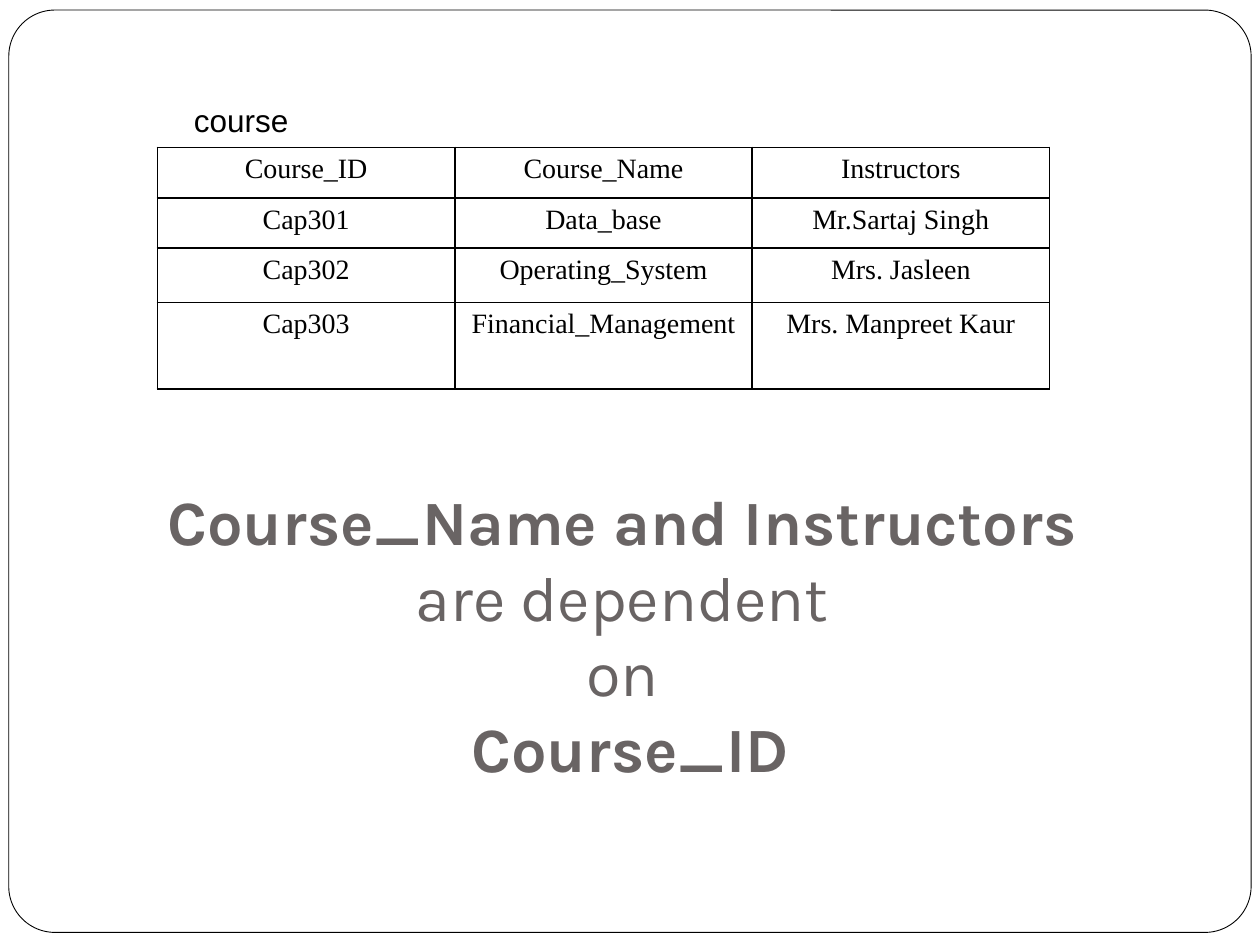
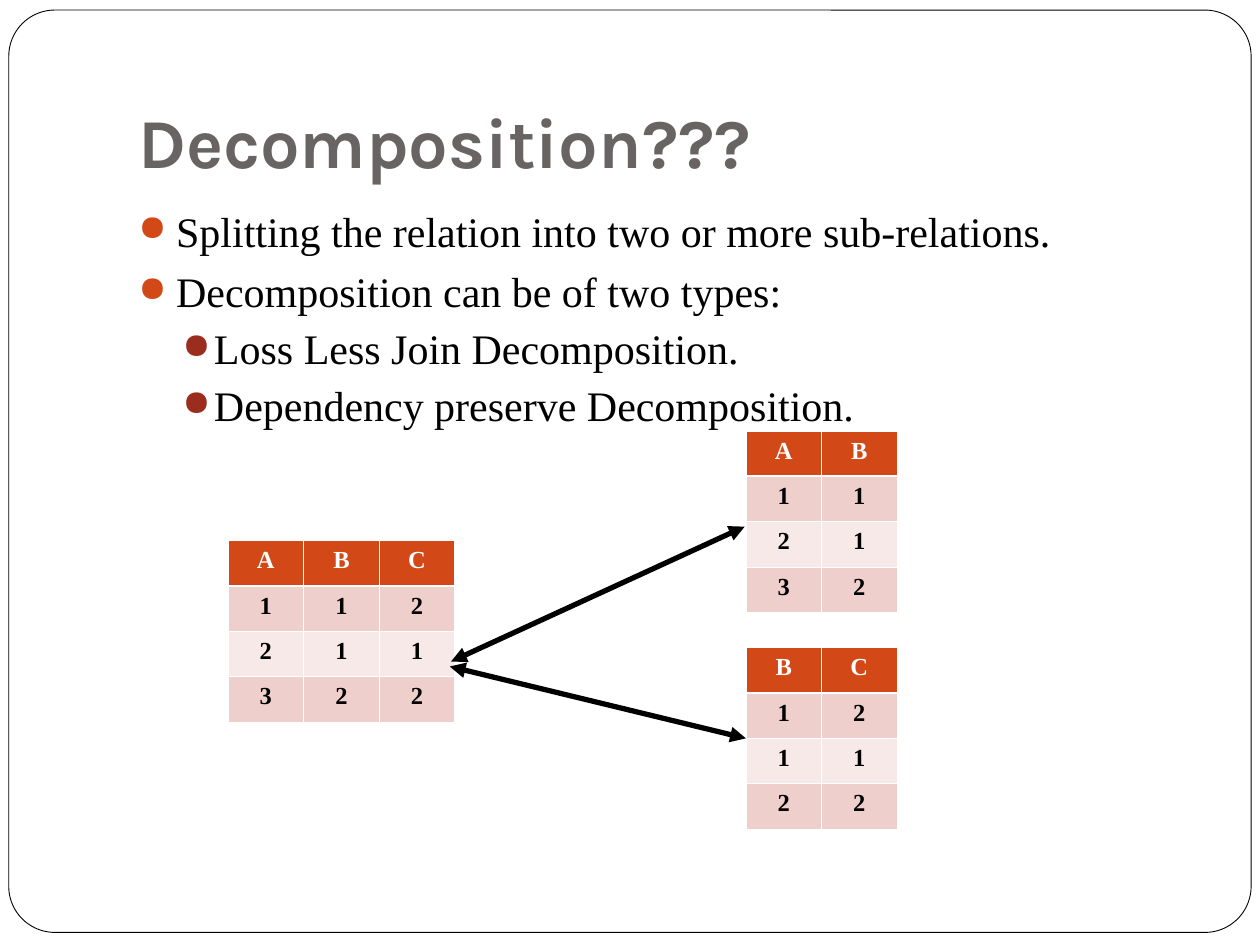
from dataclasses import dataclass

import pptx
import pptx.util
import pptx.dml.color
import pptx.enum.shapes
import pptx.enum.text
import pptx.oxml
import pptx.oxml.ns
from lxml import etree

Inches, Pt = pptx.util.Inches, pptx.util.Pt
RGBColor = pptx.dml.color.RGBColor
ALIGN = pptx.enum.text.PP_ALIGN
ANCHOR = pptx.enum.text.MSO_ANCHOR

BLACK = RGBColor(0x00, 0x00, 0x00)
WHITE = RGBColor(0xFF, 0xFF, 0xFF)
TITLE_GREY = RGBColor(0x69, 0x64, 0x64)
ORANGE = RGBColor(0xD3, 0x48, 0x17)
DARK_RED = RGBColor(0x9B, 0x2D, 0x1F)
BAND_DARK = RGBColor(0xEF, 0xCF, 0xCC)
BAND_LIGHT = RGBColor(0xF7, 0xE9, 0xE7)

SERIF, SANS, DISPLAY = "Times New Roman", "Arial", "Karla"
TITLE = {"name": DISPLAY, "size": Pt(40), "bold": True}
STATEMENT = {"name": DISPLAY, "size": Pt(36)}
BODY = {"name": SERIF, "size": Pt(24)}
LABEL = {"name": SANS, "size": Pt(18)}
COURSE_CELL = {"name": SERIF, "size": Pt(16), "bold": False}
RELATION_CELL = {"name": SERIF, "size": Pt(14), "bold": True}


@dataclass
class Box:
    left: float
    top: float
    width: float
    height: float

    def lengths(self) -> list:
        return [Inches(v) for v in (self.left, self.top, self.width, self.height)]


@dataclass
class Bullet:
    text: str
    level: int = 0


@dataclass
class BulletLevel:
    left: float
    hanging: float
    space_before: float
    colour: RGBColor


@dataclass
class Relation:
    left: float
    top: float
    rows: list[str]


@dataclass
class Arrow:
    start: tuple[float, float]
    end: tuple[float, float]


LEVELS = [
    BulletLevel(0.3, 0.3, 5.8, ORANGE),
    BulletLevel(0.6, 0.25, 3.7, DARK_RED),
]

COURSES = [
    ("Course_ID", "Course_Name", "Instructors"),
    ("Cap301", "Data_base", "Mr.Sartaj Singh"),
    ("Cap302", "Operating_System", "Mrs. Jasleen"),
    ("Cap303", "Financial_Management", "Mrs. Manpreet Kaur"),
]
COURSE_ROW_HEIGHTS = [0.4, 0.4, 0.43, 0.69]

DEPENDENCY_LINES = [
    ("Course_Name and Instructors ", True),
    ("are dependent ", False),
    ("on ", False),
    ("Course_ID", True),
]

BULLETS = [
    Bullet("Splitting the relation into two or more sub-relations."),
    Bullet("Decomposition can be of two types:"),
    Bullet("Loss Less Join Decomposition.", 1),
    Bullet("Dependency preserve Decomposition.", 1),
]

RELATIONS = [
    Relation(1.81, 4.29, ["ABC", "112", "211", "322"]),
    Relation(5.92, 3.42, ["AB", "11", "21", "32"]),
    Relation(5.92, 5.14, ["BC", "12", "11", "22"]),
]

ARROWS = [
    Arrow((3.58, 5.25), (5.91, 4.18)),
    Arrow((3.57, 5.29), (5.92, 5.86)),
]


def add_xml(parent, tag: str, **attrs):
    return etree.SubElement(parent, pptx.oxml.ns.qn(tag), attrs)


def style_font(font, style: dict, colour: RGBColor) -> None:
    for name, value in style.items():
        setattr(font, name, value)
    font.color.rgb = colour


def add_framed_slide(prs):
    """Add a blank slide with the rounded frame that every slide carries."""
    s = prs.slides.add_slide(prs.slide_layouts[6])
    frame = s.shapes.add_shape(
        pptx.enum.shapes.MSO_SHAPE.ROUNDED_RECTANGLE,
        *Box(0.07, 0.08, 9.86, 7.32).lengths())
    frame.adjustments[0] = 0.05
    frame.shadow.inherit = False
    frame.fill.solid()
    frame.fill.fore_color.rgb = WHITE
    frame.line.color.rgb = BLACK
    frame.line.width = Pt(0.5)
    return s


def add_text_frame(s, box: Box, anchor=ANCHOR.TOP, bottom: float = 0.05):
    tf = s.shapes.add_textbox(*box.lengths()).text_frame
    tf.word_wrap = True
    tf.vertical_anchor = anchor
    tf.margin_bottom = Inches(bottom)
    return tf


def add_run(p, text: str, style: dict, colour: RGBColor) -> None:
    r = p.add_run()
    r.text = text
    style_font(r.font, style, colour)


def add_bullets(s, box: Box, bullets: list[Bullet]) -> None:
    tf = add_text_frame(s, box)
    for i, bullet in enumerate(bullets):
        p = tf.add_paragraph() if i else tf.paragraphs[0]
        level = LEVELS[bullet.level]
        p.level = bullet.level
        if i:
            p.space_before = Pt(level.space_before)
        pPr = p._p.get_or_add_pPr()
        pPr.set("marL", str(Inches(level.left)))
        pPr.set("indent", str(-Inches(level.hanging)))
        add_xml(add_xml(pPr, "a:buClr"), "a:srgbClr", val=str(level.colour))
        add_xml(pPr, "a:buSzPct", val="85000")
        add_xml(pPr, "a:buChar", char="●")
        add_run(p, bullet.text, BODY, BLACK)


def set_borders(cell, colour: RGBColor, widths: dict[str, float]) -> None:
    """Draw the four cell edges; call before the cell gets its fill."""
    tcPr = cell._tc.get_or_add_tcPr()
    for side in "LRTB":
        ln = add_xml(tcPr, f"a:ln{side}", w=str(Pt(widths[side])))
        add_xml(add_xml(ln, "a:solidFill"), "a:srgbClr", val=str(colour))


def add_plain_table(s, left: float, top: float, widths: list[float],
                    heights: list[float]):
    box = Box(left, top, sum(widths), sum(heights))
    table = s.shapes.add_table(len(heights), len(widths), *box.lengths()).table
    table.first_row = table.horz_banding = False
    for column, width in zip(table.columns, widths):
        column.width = Inches(width)
    for row, height in zip(table.rows, heights):
        row.height = Inches(height)
    return table


def write_cell(cell, text: str, style: dict, colour: RGBColor) -> None:
    p = cell.text_frame.paragraphs[0]
    p.alignment = ALIGN.CENTER
    add_run(p, text, style, colour)


def add_course_table(s) -> None:
    table = add_plain_table(s, 1.25, 1.17, [2.36] * 3, COURSE_ROW_HEIGHTS)
    for r, row in enumerate(COURSES):
        for c, text in enumerate(row):
            cell = table.cell(r, c)
            set_borders(cell, BLACK, dict.fromkeys("LRTB", 1.08))
            cell.fill.background()
            write_cell(cell, text, COURSE_CELL, BLACK)


def add_relation(s, relation: Relation) -> None:
    """Draw a small banded table; each row is a string of one-letter cells."""
    rows = relation.rows
    table = add_plain_table(s, relation.left, relation.top,
                            [0.6] * len(rows[0]), [0.36] * len(rows))
    for r, row in enumerate(rows):
        widths = dict.fromkeys("LRTB", 0.45)
        if r < 2:
            widths["T" if r else "B"] = 1.47
        band = BAND_DARK if r % 2 else BAND_LIGHT
        for c, text in enumerate(row):
            cell = table.cell(r, c)
            cell.margin_left = cell.margin_right = Inches(0.07)
            set_borders(cell, WHITE, widths)
            cell.fill.solid()
            cell.fill.fore_color.rgb = band if r else ORANGE
            write_cell(cell, text, RELATION_CELL, BLACK if r else WHITE)


def add_arrow(s, arrow: Arrow) -> None:
    line = s.shapes.add_connector(
        pptx.enum.shapes.MSO_CONNECTOR.STRAIGHT,
        *[Inches(v) for v in arrow.start + arrow.end])
    line.line.color.rgb = BLACK
    line.line.width = Pt(3)
    ln = line.line._get_or_add_ln()
    for tag in ("a:headEnd", "a:tailEnd"):
        add_xml(ln, tag, type="triangle")
    add_xml(line._element.spPr, "a:effectLst")


def build_course_slide(prs) -> None:
    s = add_framed_slide(prs)
    p = add_text_frame(s, Box(0.5, 3.83, 9, 2.5), ANCHOR.BOTTOM, 0.1).paragraphs[0]
    p.alignment = ALIGN.CENTER
    for i, (text, bold) in enumerate(DEPENDENCY_LINES):
        if i:
            p.add_line_break()
        add_run(p, text, STATEMENT | {"bold": bold}, TITLE_GREY)
    add_course_table(s)
    p = add_text_frame(s, Box(1.25, 0.75, 1.33, 0.4)).paragraphs[0]
    p.alignment = ALIGN.CENTER
    add_run(p, "course", LABEL, BLACK)


def build_decomposition_slide(prs) -> None:
    s = add_framed_slide(prs)
    tf = add_text_frame(s, Box(1, 0.3, 8.5, 1.25), ANCHOR.BOTTOM, 0.1)
    add_run(tf.paragraphs[0], "Decomposition???", TITLE, TITLE_GREY)
    add_bullets(s, Box(1, 1.58, 8.5, 5), BULLETS)
    for relation in RELATIONS:
        add_relation(s, relation)
    for arrow in ARROWS:
        add_arrow(s, arrow)


def main() -> None:
    prs = pptx.Presentation()
    prs.slide_width, prs.slide_height = Inches(10), Inches(7.5)
    build_course_slide(prs)
    build_decomposition_slide(prs)
    prs.save("out.pptx")


if __name__ == "__main__":
    main()
